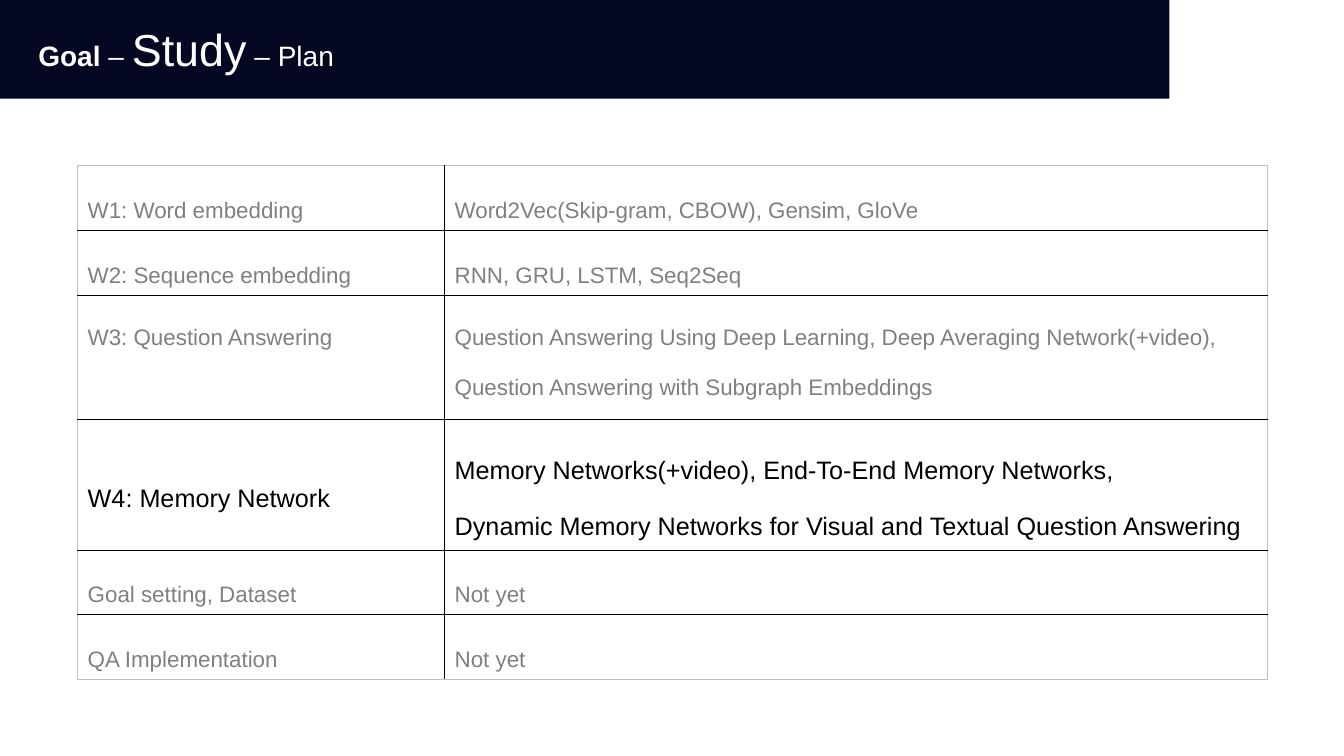
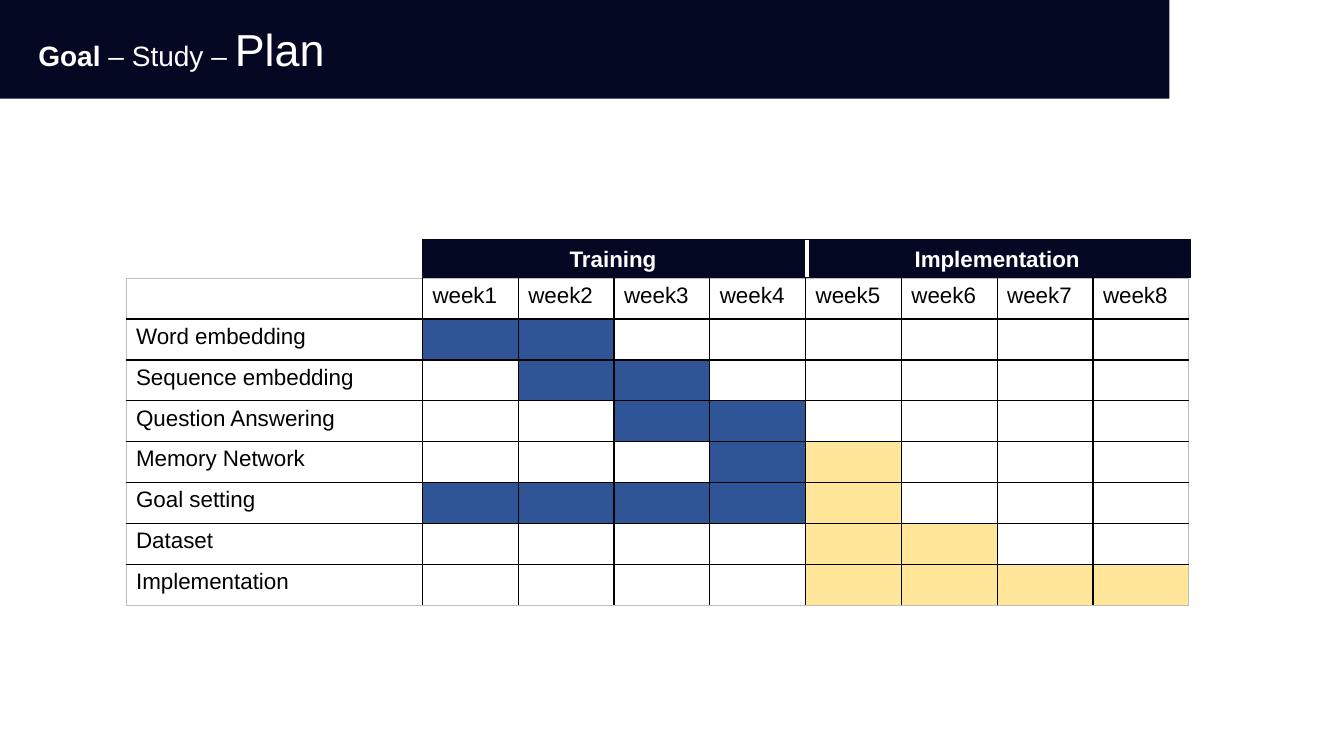
from dataclasses import dataclass

from lxml import etree
from pptx import Presentation
from pptx.dml.color import RGBColor
from pptx.enum.shapes import MSO_CONNECTOR, MSO_SHAPE
from pptx.enum.text import MSO_ANCHOR, MSO_AUTO_SIZE, PP_ALIGN
from pptx.oxml.ns import qn
from pptx.util import Inches, Pt

RECT = MSO_SHAPE.RECTANGLE
LINE = MSO_CONNECTOR.STRAIGHT
TOP, MIDDLE = MSO_ANCHOR.TOP, MSO_ANCHOR.MIDDLE
LEFT, CENTER = PP_ALIGN.LEFT, PP_ALIGN.CENTER
FIXED = MSO_AUTO_SIZE.NONE

FONT = "Arial"
COLORS = {
    "navy": "050823", "white": "FFFFFF", "black": "000000", "gray": "808080",
    "edge": "BFBFBF", "blue": "2F5597", "yellow": "FFE699",
}


@dataclass
class Run:
    text: str
    size: float = 16
    color: str = "black"
    bold: bool = False


@dataclass
class Topic:
    name: str
    notes: list[str]
    height: float = 0.64
    anchor: MSO_ANCHOR = MIDDLE
    size: float = 16
    color: str = "gray"


@dataclass
class Task:
    """A plan row: weeks of training and of implementation, first to last."""
    name: str
    train: tuple[int, int] = (0, 0)
    build: tuple[int, int] = (0, 0)


@dataclass
class Phase:
    name: str
    left: float
    width: float


TOPICS = [
    Topic("W1: Word embedding", ["Word2Vec(Skip-gram, CBOW), Gensim, GloVe"], 0.65),
    Topic("W2: Sequence embedding", ["RNN, GRU, LSTM, Seq2Seq"]),
    Topic("W3: Question Answering",
          ["Question Answering Using Deep Learning, Deep Averaging Network(+video),",
           "Question Answering with Subgraph Embeddings"], 1.23, TOP),
    Topic("W4: Memory Network",
          ["Memory Networks(+video), End-To-End Memory Networks,",
           "Dynamic Memory Networks for Visual and Textual Question Answering"],
          1.3, size=18, color="black"),
    Topic("Goal setting, Dataset", ["Not yet"]),
    Topic("QA Implementation", ["Not yet"]),
]
TASKS = [
    Task("Word embedding", (1, 2)),
    Task("Sequence embedding", (2, 3)),
    Task("Question Answering", (3, 4)),
    Task("Memory Network", (4, 4), (5, 5)),
    Task("Goal setting", (1, 4), (5, 5)),
    Task("Dataset", build=(5, 6)),
    Task("Implementation", build=(5, 8)),
]
PHASES = [Phase("Training", 4.19, 3.78), Phase("Implementation", 7.97, 3.84)]
WEEKS = 8


def rgb(name: str) -> RGBColor:
    return RGBColor.from_string(COLORS[name])


def write(para, runs: list[Run]) -> None:
    for item in runs:
        run = para.add_run()
        run.text = item.text
        font = run.font
        font.name, font.size, font.bold = FONT, Pt(item.size), item.bold
        font.color.rgb = rgb(item.color)


def add_bar(slide, left: float, top: float, width: float, height: float):
    bar = slide.shapes.add_shape(RECT, *map(Inches, (left, top, width, height)))
    bar.shadow.inherit = False
    bar.fill.solid()
    bar.fill.fore_color.rgb = rgb("navy")
    bar.line.fill.background()
    return bar


def add_band(slide) -> None:
    """Put the navy band on the slide's layout, so that all slides share it."""
    band = add_bar(slide, 0, 0, 11.6, 0.98).element
    band.nvSpPr.cNvPr.set("id", "20")
    slide.slide_layout.shapes.element.insert(2, band)


def set_title(slide, runs: list[Run]) -> None:
    title = slide.shapes.title
    title.left, title.top = Inches(0.28), Inches(0.17)
    title.width, title.height = Inches(6.12), Inches(0.64)
    frame = title.text_frame
    frame.auto_size, frame.vertical_anchor = FIXED, TOP
    frame.paragraphs[0].alignment = LEFT
    write(frame.paragraphs[0], runs)


def set_edges(cell, outer: dict[str, bool]) -> None:
    """Draw outer edges as gray hairlines and inner ones in black."""
    props = cell._tc.get_or_add_tcPr()
    for pos, (side, rim) in enumerate(outer.items()):
        edge = etree.Element(qn(f"a:ln{side}"), w=str(Pt(0.5 if rim else 1)))
        fill = etree.SubElement(edge, qn("a:solidFill"))
        tone = COLORS["edge" if rim else "black"]
        etree.SubElement(fill, qn("a:srgbClr"), val=tone)
        props.insert(pos, edge)


def add_grid(slide, left: float, top: float, cols: list[float], rows: list[float]):
    sizes = (left, top, sum(cols), sum(rows))
    table = slide.shapes.add_table(len(rows), len(cols), *map(Inches, sizes)).table
    table.first_row = table.horz_banding = False
    for col, width in zip(table.columns, cols):
        col.width = Inches(width)
    for row, height in zip(table.rows, rows):
        row.height = Inches(height)
    for r in range(len(rows)):
        for c in range(len(cols)):
            cell = table.cell(r, c)
            cell.fill.background()
            set_edges(cell, {"L": c == 0, "R": c == len(cols) - 1,
                             "T": r == 0, "B": r == len(rows) - 1})
    return table


def fill_cell(cell, lines: list[str], topic: Topic) -> None:
    cell.vertical_anchor = topic.anchor
    frame = cell.text_frame
    for pos, line in enumerate(lines):
        para = frame.add_paragraph() if pos else frame.paragraphs[0]
        para.line_spacing = 2.0
        write(para, [Run(line, topic.size, topic.color)])


def add_study(slide) -> None:
    table = add_grid(slide, 0.77, 1.64, [3.64, 8.16], [t.height for t in TOPICS])
    for row, topic in enumerate(TOPICS):
        fill_cell(table.cell(row, 0), [topic.name], topic)
        fill_cell(table.cell(row, 1), topic.notes, topic)


def shade(table, row: int, span: tuple[int, int], color: str) -> None:
    first, last = span
    if not first:
        return
    for week in range(first, last + 1):
        fill = table.cell(row, week).fill
        fill.solid()
        fill.fore_color.rgb = rgb(color)


def add_phases(slide) -> None:
    top, height = 2.38, 0.37
    for phase in PHASES:
        bar = add_bar(slide, phase.left, top, phase.width, height)
        bar.line.color.rgb, bar.line.width = rgb("navy"), Pt(0.75)
        frame = bar.text_frame
        frame.word_wrap, frame.vertical_anchor = True, MIDDLE
        frame.paragraphs[0].alignment = CENTER
        write(frame.paragraphs[0], [Run(phase.name, 16, "white", True)])
    ends = map(Inches, (8, top, 8, top + height))
    split = slide.shapes.add_connector(LINE, *ends)
    split.line.color.rgb, split.line.width = rgb("white"), Pt(3)
    etree.SubElement(split.element.spPr, qn("a:effectLst"))


def add_plan(slide) -> None:
    cols = [2.94] + [0.95] * WEEKS
    table = add_grid(slide, 1.25, 2.76, cols, [0.405] * (len(TASKS) + 1))
    for week in range(1, WEEKS + 1):
        write(table.cell(0, week).text_frame.paragraphs[0], [Run(f"week{week}")])
    for row, task in enumerate(TASKS, 1):
        write(table.cell(row, 0).text_frame.paragraphs[0], [Run(task.name)])
        shade(table, row, task.train, "blue")
        shade(table, row, task.build, "yellow")
    add_phases(slide)


def main() -> None:
    deck = Presentation()
    deck.slide_width, deck.slide_height = Inches(13.33), Inches(7.5)
    layout = deck.slide_layouts.get_by_name("Title Only")
    goal = Run("Goal ", 20, "white", True)

    study = deck.slides.add_slide(layout)
    add_band(study)
    set_title(study, [goal, Run("– ", 20, "white"), Run("Study", 32, "white"),
                      Run(" – Plan", 20, "white")])
    add_study(study)

    plan = deck.slides.add_slide(layout)
    set_title(plan, [goal, Run("– Study – ", 20, "white"), Run("Plan", 32, "white")])
    add_plan(plan)

    deck.save("out.pptx")


if __name__ == "__main__":
    main()
